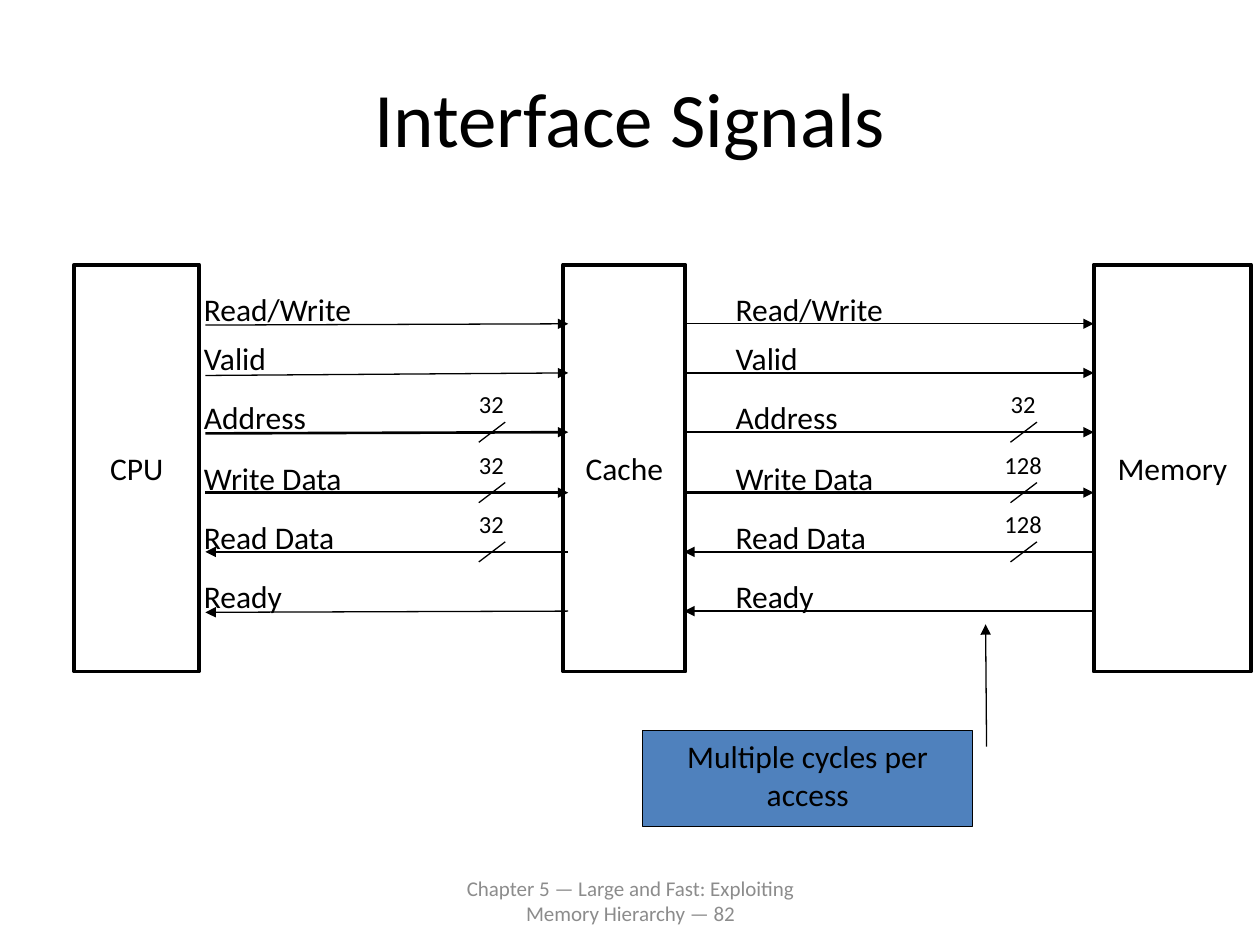
from pptx import Presentation
from pptx.dml.color import RGBColor
from pptx.enum.shapes import MSO_CONNECTOR, MSO_SHAPE
from pptx.enum.text import MSO_ANCHOR as ANCHOR, MSO_AUTO_SIZE as AUTO_SIZE, PP_ALIGN as ALIGN
from pptx.oxml.ns import qn
from pptx.util import Pt
from lxml.etree import SubElement

PX = 9144  # EMU per px, 100 px to the inch
BLACK = RGBColor(0x00, 0x00, 0x00)
GRAY = RGBColor(0x8C, 0x8C, 0x8C)
BLUE = RGBColor(0x4F, 0x81, 0xBD)

presentation = Presentation()
presentation.slide_width, presentation.slide_height = 1000 * PX, 750 * PX
slide = presentation.slides.add_slide(presentation.slide_layouts[5])
shapes = slide.shapes


def write(shape, text, size=18, color=BLACK, align=ALIGN.CENTER, **frame_format):
    frame = shape.text_frame
    for name, value in frame_format.items():
        setattr(frame, name, value)
    paragraph = frame.paragraphs[0]
    paragraph.text = text
    paragraph.alignment = align
    font = paragraph.font
    font.name, font.size = "Calibri", Pt(size)
    font.color.rgb = color


def draw_line(x1, y1, x2, y2, width=0.75, arrow=None):
    line = shapes.add_connector(
        MSO_CONNECTOR.STRAIGHT, x1 * PX, y1 * PX, x2 * PX, y2 * PX)
    line.line.color.rgb = BLACK
    line.line.width = Pt(width)
    if arrow:
        SubElement(line.line._get_or_add_ln(), qn(f"a:{arrow}"), type="triangle")
    SubElement(line._element.spPr, qn("a:effectLst"))


# Title
title = shapes.title
title.left, title.top, title.width, title.height = 50 * PX, 30 * PX, 900 * PX, 125 * PX
write(title, "Interface Signals", 44, vertical_anchor=ANCHOR.MIDDLE)

# Footer
footer = shapes.add_textbox(342 * PX, 695 * PX, 317 * PX, 40 * PX)
write(footer, "Chapter 5 — Large and Fast: Exploiting Memory Hierarchy — 82", 12, GRAY,
      vertical_anchor=ANCHOR.MIDDLE, word_wrap=True)

# Units
for name, left, width in (("Cache", 447, 97), ("CPU", 59, 99), ("Memory", 868, 125)):
    unit = shapes.add_shape(MSO_SHAPE.RECTANGLE, left * PX, 210 * PX, width * PX, 323 * PX)
    unit.shadow.inherit = False
    unit.fill.background()
    unit.line.color.rgb = BLACK
    unit.line.width = Pt(2.25)
    write(unit, name, vertical_anchor=ANCHOR.MIDDLE, word_wrap=False)

# Signals: name, label width, line y, drop at the CPU end, arrow end
SIGNALS = (
    ("Read/Write", 138, 257, 1, "tailEnd"),
    ("Valid", 70, 296, 2, "tailEnd"),
    ("Address", 102, 343, 1, "tailEnd"),
    ("Write Data", 131, 391, 0, "tailEnd"),
    ("Read Data", 125, 438, 0, "headEnd"),
    ("Ready", 83, 485, 1, "headEnd"),
)
# Links: line start, line end, label left, slash left, slanted, bus widths
LINKS = (
    (163, 451, 152, 380, True,
     {"Address": "32", "Write Data": "32", "Read Data": "32"}),
    (543, 868, 574, 802, False,
     {"Address": "32", "Write Data": "128", "Read Data": "128"}),
)
label_format = {"word_wrap": False, "auto_size": AUTO_SIZE.SHAPE_TO_FIT_TEXT}
for start, end, label_left, slash_left, slanted, buses in LINKS:
    for name, label_width, y, drop, arrow in SIGNALS:
        draw_line(start, y + drop * slanted, end, y, 1.5 if name in buses else 0.75, arrow)
        label = shapes.add_textbox(label_left * PX, (y - 32) * PX, label_width * PX, 40 * PX)
        write(label, name, align=ALIGN.LEFT, **label_format)
        if name in buses:
            bits = buses[name]
            draw_line(slash_left, y + 8, slash_left + 21, y - 8)
            bits_width = 10 * len(bits) + 20
            bits_left = slash_left + 10 - bits_width // 2
            bits_label = shapes.add_textbox(
                bits_left * PX, (y - 39) * PX, bits_width * PX, 34 * PX)
            write(bits_label, bits, 14, **label_format)

# Callout pointing at the memory signals
callout = shapes.add_shape(MSO_SHAPE.LINE_CALLOUT_1, 510 * PX, 580 * PX, 262 * PX, 76 * PX)
callout.shadow.inherit = False
for index, value in enumerate((0.166, 1.042, -1.112, 1.039)):
    callout.adjustments[index] = value
callout.fill.solid()
callout.fill.fore_color.rgb = BLUE
callout.line.color.rgb = BLACK
callout.line.width = Pt(0.75)
SubElement(callout.line._get_or_add_ln(), qn("a:tailEnd"), type="triangle")
write(callout, "Multiple cycles per access", vertical_anchor=ANCHOR.TOP, word_wrap=True)

presentation.save("out.pptx")
